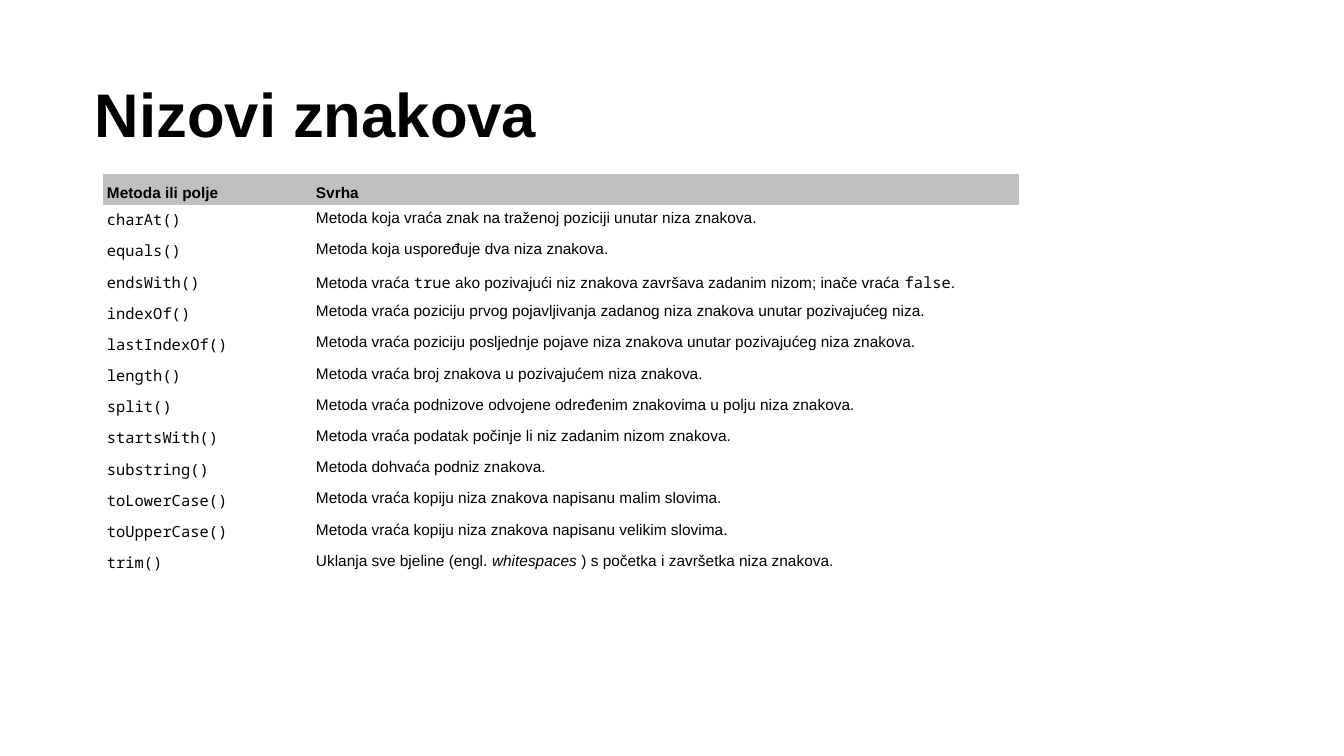
from pptx import Presentation
from pptx.dml.color import RGBColor
from pptx.enum.text import MSO_ANCHOR, PP_ALIGN
from pptx.oxml.ns import qn
from pptx.util import Pt

BOTTOM, TOP = MSO_ANCHOR.BOTTOM, MSO_ANCHOR.TOP
LEFT, JUSTIFY = PP_ALIGN.LEFT, PP_ALIGN.JUSTIFY
BLACK = RGBColor(0x00, 0x00, 0x00)
GRAY = RGBColor(0xC0, 0xC0, 0xC0)
SANS, MONO = "Arial", "Noto Sans Mono"
NO_GRID = "{2D5ABB26-0587-4C30-8999-92F81FD0307C}"
SCALE = 914400 / 100.8

HEADS = ["Metoda ili polje", "Svrha"]
METHODS = [
    ("charAt()", ["Metoda koja vraća znak na traženoj poziciji unutar niza znakova."]),
    ("equals()", ["Metoda koja uspoređuje dva niza znakova."]),
    ("endsWith()", ["Metoda vraća ", "true",
                    " ako pozivajući niz znakova završava zadanim nizom; inače vraća ",
                    "false", "."]),
    ("indexOf()", ["Metoda vraća poziciju prvog pojavljivanja zadanog niza znakova "
                   "unutar pozivajućeg niza."]),
    ("lastIndexOf()", ["Metoda vraća poziciju posljednje pojave niza znakova "
                       "unutar pozivajućeg niza znakova."]),
    ("length()", ["Metoda vraća broj znakova u pozivajućem niza znakova."]),
    ("split()", ["Metoda vraća podnizove odvojene određenim znakovima u polju niza znakova."]),
    ("startsWith()", ["Metoda vraća podatak počinje li niz zadanim nizom znakova."]),
    ("substring()", ["Metoda dohvaća podniz znakova."]),
    ("toLowerCase()", ["Metoda vraća kopiju niza znakova napisanu malim slovima."]),
    ("toUpperCase()", ["Metoda vraća kopiju niza znakova napisanu velikim slovima."]),
    ("trim()", ["Uklanja sve bjeline (engl. ", "whitespaces",
                " ) s početka i završetka niza znakova."]),
]
CODE = {"true", "false"} | {name for name, _ in METHODS}
ITALIC = {"whitespaces"}


def px(count):
    """Turn pixels into EMU."""
    return round(count * SCALE)


def style(run, size, bold):
    """Format one run, with code and foreign words set apart."""
    font = run.font
    font.name = MONO if run.text in CODE else SANS
    font.size = Pt(size)
    font.bold = bold
    font.italic = run.text in ITALIC
    font.color.rgb = BLACK


def add_title(slide, text):
    """Add the slide title."""
    box = slide.shapes.add_textbox(px(85), px(63), px(1008), px(93))
    frame = box.text_frame
    frame.word_wrap = True
    frame.vertical_anchor = BOTTOM
    frame.text = text
    para = frame.paragraphs[0]
    para.line_spacing = 0.9
    style(para.runs[0], 44, True)


def fill_cell(cell, parts, head):
    """Write the text parts into one table cell."""
    cell.margin_left = cell.margin_right = px(4)
    cell.margin_top = cell.margin_bottom = px(4)
    cell.vertical_anchor = BOTTOM if head else TOP
    if head:
        cell.fill.solid()
        cell.fill.fore_color.rgb = GRAY
    else:
        cell.fill.background()
    para = cell.text_frame.paragraphs[0]
    para.alignment = LEFT if head else JUSTIFY
    for part in parts:
        run = para.add_run()
        run.text = part
        style(run, 11, head)


def add_methods(slide):
    """Add the table of string methods."""
    rows = [[[head] for head in HEADS]]
    rows += [[[name], parts] for name, parts in METHODS]
    shape = slide.shapes.add_table(len(rows), 2, px(103), px(174), px(916), px(406))
    for tag in shape.element.iter(qn("a:tableStyleId")):
        tag.text = NO_GRID
    table = shape.table
    table.horz_banding = False
    for col, width in zip(table.columns, (209, 707)):
        col.width = px(width)
    for r, row in enumerate(rows):
        for c, parts in enumerate(row):
            fill_cell(table.cell(r, c), parts, r == 0)


def main():
    """Build the slide and save it."""
    deck = Presentation()
    deck.slide_width, deck.slide_height = px(1344), px(756)
    slide = deck.slides.add_slide(deck.slide_layouts[6])
    add_title(slide, "Nizovi znakova")
    add_methods(slide)
    deck.save("out.pptx")


if __name__ == "__main__":
    main()
